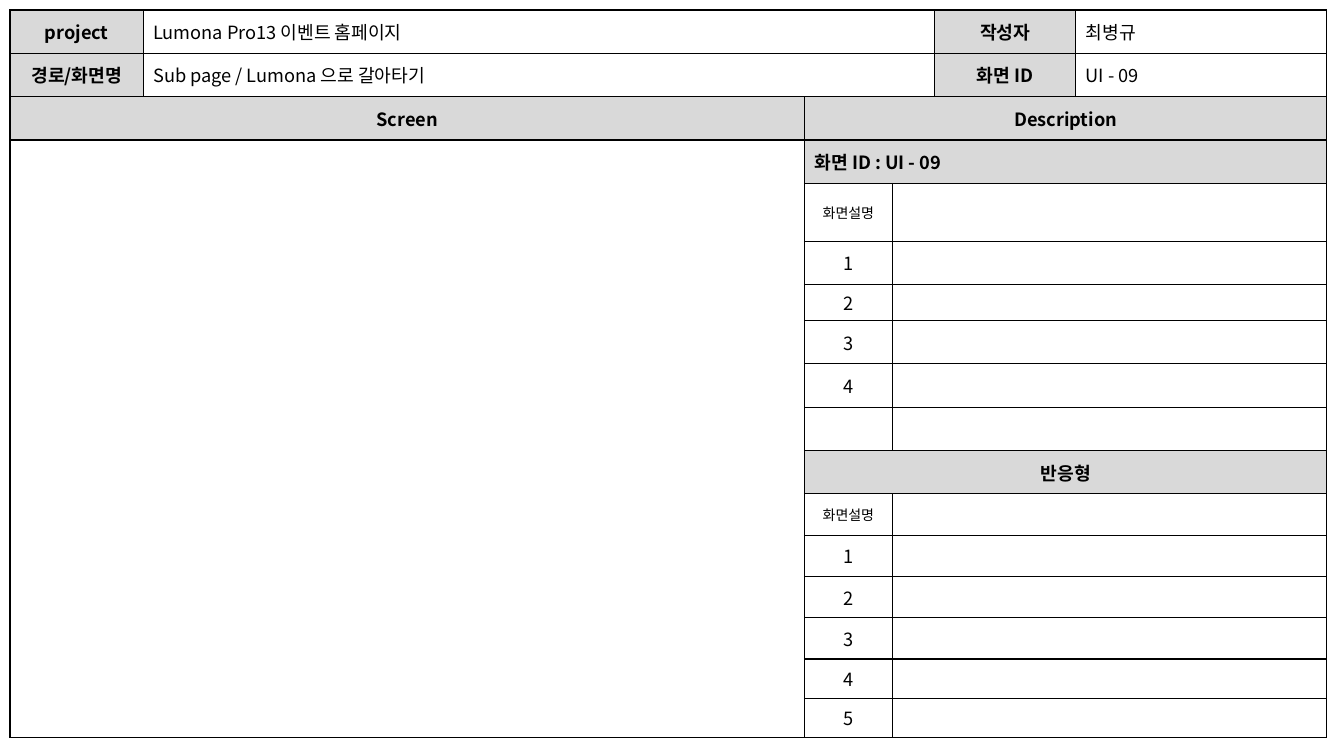
from lxml.etree import SubElement
from pptx import Presentation
from pptx.dml.color import RGBColor
from pptx.enum.text import MSO_ANCHOR, PP_ALIGN
from pptx.oxml import parse_xml
from pptx.oxml.ns import nsdecls, qn
from pptx.util import Inches, Pt

FACE = "Noto Sans CJK KR"
BLACK = RGBColor(0x00, 0x00, 0x00)
GREY = RGBColor(0xD9, 0xD9, 0xD9)
WHITE = RGBColor(0xFF, 0xFF, 0xFF)

# Content: rows of (column, columns spanned, text, style)
HEAD = [
    [(0, 1, "project", "head"), (1, 3, "Lumona Pro13 이벤트 홈페이지", "body"),
     (4, 1, "작성자", "head"), (5, 1, "최병규", "body")],
    [(0, 1, "경로/화면명", "head"), (1, 3, "Sub page / Lumona 으로 갈아타기", "body"),
     (4, 1, "화면 ID", "head"), (5, 1, "UI - 09", "body")],
    [(0, 2, "Screen", "head"), (2, 4, "Description", "head")],
]
PARTS = [
    ("화면 ID : UI - 09", "title", ["1", "2", "3", "4", ""]),
    ("반응형", "head", ["1", "2", "3", "4", "5"]),
]
WIDE = [1.32, 6.56, 0.87, 0.42, 1.4, 2.49]
HIGH = [0.43] * 4 + [0.58, 0.42, 0.36] + [0.43] * 4 + [0.41] * 4 + [0.39] * 2

# Styles: fill, alignment, font
STYLES = {
    "head": (GREY, PP_ALIGN.CENTER, {"size": Pt(13), "bold": True}),
    "title": (GREY, PP_ALIGN.LEFT, {"size": Pt(13), "bold": True}),
    "body": (WHITE, PP_ALIGN.LEFT, {"size": Pt(13), "bold": False}),
    "item": (WHITE, PP_ALIGN.CENTER, {"size": Pt(13), "bold": False}),
    "note": (WHITE, PP_ALIGN.CENTER, {"size": Pt(10), "bold": False}),
}


def dress(cell):
    """Give a cell its white ground, borders and small empty line."""
    cell.fill.solid()
    cell.fill.fore_color.rgb = WHITE
    cell.vertical_anchor = MSO_ANCHOR.MIDDLE
    props = cell._tc.get_or_add_tcPr()
    for spot, side in enumerate(("lnL", "lnR", "lnT", "lnB")):
        props.insert(spot, parse_xml(
            f'<a:{side} {nsdecls("a")} w="{Pt(1)}"><a:solidFill>'
            f'<a:srgbClr val="{BLACK}"/></a:solidFill></a:{side}>'))
    SubElement(cell.text_frame.paragraphs[0]._p, qn("a:endParaRPr"), sz="1000")


def write(cell, text, style):
    """Fill a cell and set its text."""
    fill, align, form = STYLES[style]
    cell.fill.fore_color.rgb = fill
    if not text:
        return
    para = cell.text_frame.paragraphs[0]
    para.alignment = align
    run = para.add_run()
    run.text = text
    for name, value in {**form, "name": FACE}.items():
        setattr(run.font, name, value)
    run.font.color.rgb = BLACK
    SubElement(run._r.get_or_add_rPr(), qn("a:ea"), typeface=FACE)


# Rows of the two description parts
rows = list(HEAD)
for title, style, items in PARTS:
    rows.append([(2, 4, title, style)])
    for text, look in [("화면설명", "note")] + [(item, "item") for item in items]:
        rows.append([(2, 1, text, look), (3, 3, "", "body")])

# Slide and table
deck = Presentation()
deck.slide_width, deck.slide_height = Inches(13.33), Inches(7.5)
slide = deck.slides.add_slide(deck.slide_layouts[6])
table = slide.shapes.add_table(
    len(rows), len(WIDE), Inches(0.1), Inches(0.1),
    Inches(sum(WIDE)), Inches(sum(HIGH))).table
table.first_row = table.horz_banding = False
for col, width in zip(table.columns, WIDE):
    col.width = Inches(width)
for row, height in zip(table.rows, HIGH):
    row.height = Inches(height)
for cell in table.iter_cells():
    dress(cell)

# Cells, with the screen area below its heading
table.cell(len(HEAD), 0).merge(table.cell(len(rows) - 1, 1))
for y, row in enumerate(rows):
    for x, span, text, style in row:
        cell = table.cell(y, x)
        if span > 1:
            cell.merge(table.cell(y, x + span - 1))
        write(cell, text, style)

deck.save("out.pptx")
